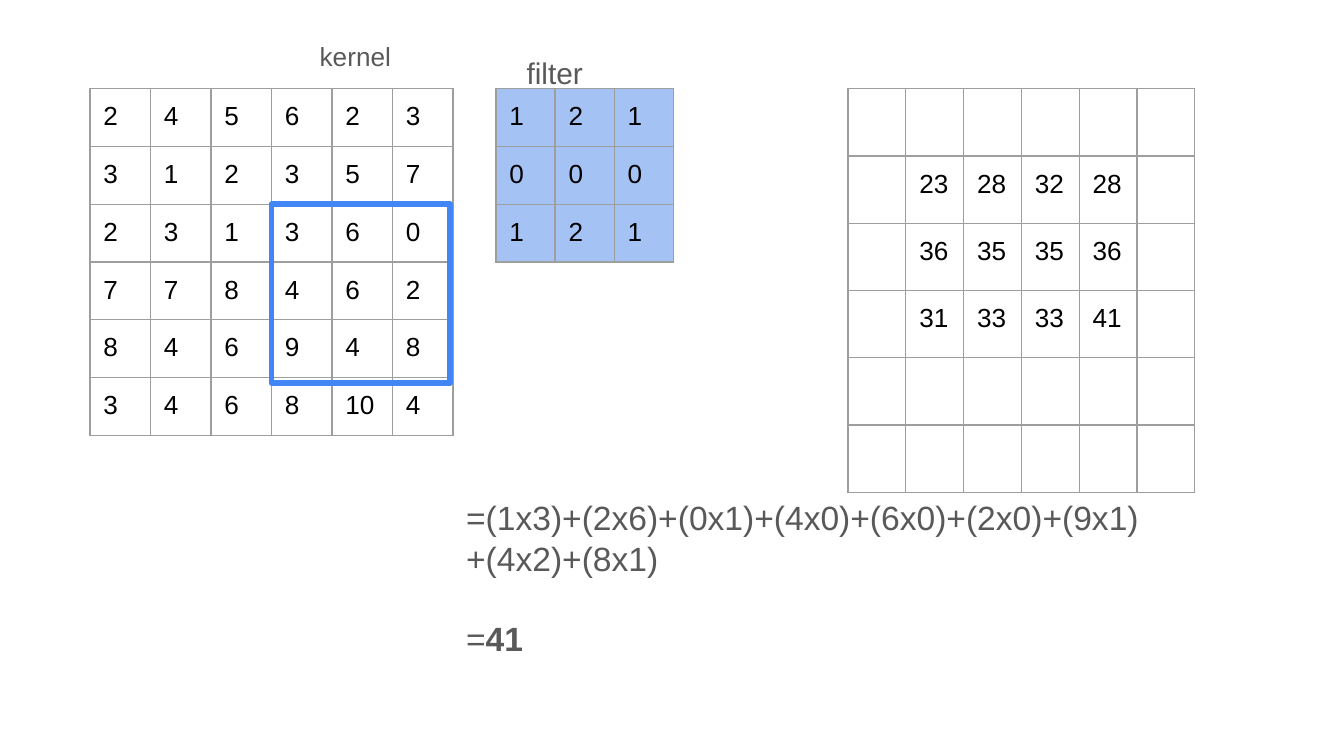
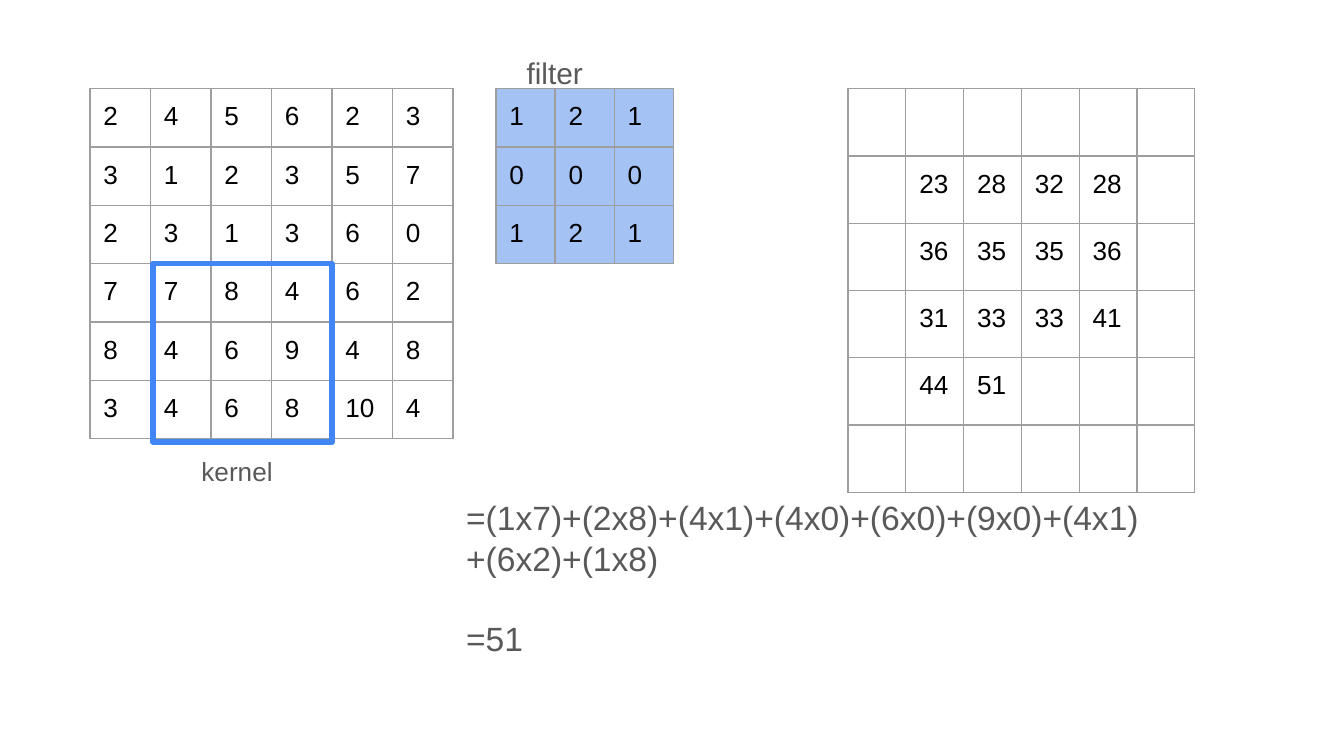
from dataclasses import dataclass
from typing import Optional

from lxml.etree import SubElement
from pptx import Presentation
from pptx.dml.color import RGBColor
from pptx.enum.shapes import MSO_SHAPE
from pptx.enum.text import MSO_AUTO_SIZE
from pptx.oxml.ns import qn
from pptx.util import Inches, Pt

SLIDE_WIDTH = Inches(10)
SLIDE_HEIGHT = SLIDE_WIDTH * 9 // 16
BLACK = RGBColor(0x00, 0x00, 0x00)
GRAY = RGBColor(0x59, 0x59, 0x59)
BORDER = RGBColor(0x9E, 0x9E, 0x9E)
BLUE = RGBColor(0x42, 0x85, 0xF4)
LIGHT_BLUE = RGBColor(0xA4, 0xC2, 0xF4)
FONT = "Arial"
INSET = Inches(0.1)
MARGINS = {f"margin_{side}": INSET for side in ("left", "right", "top", "bottom")}
KERNEL_SIZE = 1.33


@dataclass
class Grid:
    left: float
    col_width: float
    row_height: float
    rows: list[list[str]]
    fill: Optional[RGBColor] = None
    top: float = 0.66


@dataclass
class Label:
    paragraphs: list[list[tuple[str, bool]]]  # runs of (text, bold)
    left: float
    top: float
    width: float
    height: float
    size: int


@dataclass
class Step:
    kernel_left: float
    kernel_top: float
    label_top: float
    results: list[str]
    formula: str
    total: list[tuple[str, bool]]
    formula_height: float


def split_rows(lines: list[str]) -> list[list[str]]:
    return [line.split() for line in lines]


SOURCE = Grid(0.67, 0.45, 0.43, split_rows([
    "2 4 5 6 2 3",
    "3 1 2 3 5 7",
    "2 3 1 3 6 0",
    "7 7 8 4 6 2",
    "8 4 6 9 4 8",
    "3 4 6 8 10 4",
]))
FILTER = Grid(3.69, 0.44, 0.43, split_rows(["1 2 1", "0 0 0", "1 2 1"]), LIGHT_BLUE)
FILTER_LABEL = Label([[("filter", False)]], 3.82, 0.31, 6.18, 0.47, 16)
RESULTS = ["23 28 32 28", "36 35 35 36", "31 33 33 41"]

STEPS = [
    Step(2.02, 1.52, 0.2, RESULTS,
         "=(1x3)+(2x6)+(0x1)+(4x0)+(6x0)+(2x0)+(9x1)+(4x2)+(8x1)",
         [("=", False), ("41", True)], 1.72),
    Step(1.14, 1.96, 3.29, RESULTS + ["44 51"],
         "=(1x7)+(2x8)+(4x1)+(4x0)+(6x0)+(9x0)+(4x1)+(6x2)+(1x8)",
         [("=51", False)], 1.41),
]


def set_attrs(obj, values: dict) -> None:
    for name, value in values.items():
        setattr(obj, name, value)


def style_font(font, size: int, color: RGBColor, bold: bool = False) -> None:
    set_attrs(font, {"name": FONT, "size": Pt(size), "bold": bold})
    font.color.rgb = color


def add_borders(cell) -> None:
    tcPr = cell._tc.get_or_add_tcPr()
    for i, side in enumerate(("lnL", "lnR", "lnT", "lnB")):
        ln = tcPr.makeelement(qn(f"a:{side}"), {"w": str(Pt(0.75))})
        fill = SubElement(ln, qn("a:solidFill"))
        SubElement(fill, qn("a:srgbClr"), val=str(BORDER))
        tcPr.insert(i, ln)  # borders come before the fill


def add_grid(s, grid: Grid) -> None:
    n_rows, n_cols = len(grid.rows), len(grid.rows[0])
    table = s.shapes.add_table(
        n_rows, n_cols, Inches(grid.left), Inches(grid.top),
        Inches(n_cols * grid.col_width), Inches(n_rows * grid.row_height)).table
    set_attrs(table, {"first_row": False, "horz_banding": False})
    for col in table.columns:
        col.width = Inches(grid.col_width)
    for row, values in zip(table.rows, grid.rows):
        row.height = Inches(grid.row_height)
        for cell, value in zip(row.cells, values):
            set_attrs(cell, MARGINS)
            if grid.fill is None:
                cell.fill.background()
            else:
                cell.fill.solid()
                cell.fill.fore_color.rgb = grid.fill
            add_borders(cell)
            if value:
                r = cell.text_frame.paragraphs[0].add_run()
                r.text = value
                style_font(r.font, 14, BLACK)


def add_label(s, label: Label) -> None:
    tf = s.shapes.add_textbox(Inches(label.left), Inches(label.top),
                              Inches(label.width), Inches(label.height)).text_frame
    set_attrs(tf, MARGINS | {"word_wrap": True, "auto_size": MSO_AUTO_SIZE.SHAPE_TO_FIT_TEXT})
    for i, runs in enumerate(label.paragraphs):
        p = tf.add_paragraph() if i else tf.paragraphs[0]
        if i:
            p.space_before = Pt(1.2 * label.size)  # one line of space
        for text, bold in runs:
            r = p.add_run()
            r.text = text
            style_font(r.font, label.size, GRAY, bold)


def add_kernel(s, step: Step) -> None:
    sp = s.shapes.add_shape(MSO_SHAPE.RECTANGLE, Inches(step.kernel_left),
                            Inches(step.kernel_top), Inches(KERNEL_SIZE), Inches(KERNEL_SIZE))
    sp.shadow.inherit = False
    sp.fill.background()
    sp.line.color.rgb = BLUE
    sp.line.width = Pt(3)
    SubElement(sp.line._get_or_add_ln(), qn("a:round"))


def result_grid(results: list[str]) -> Grid:
    """Place the results inside an empty border of cells."""
    size = len(SOURCE.rows)
    rows = [[""] * size for _ in range(size)]
    for row, values in zip(rows[1:], split_rows(results)):
        row[1:1 + len(values)] = values
    return Grid(6.31, 0.43, 0.5, rows)


def add_step(prs, step: Step) -> None:
    s = prs.slides.add_slide(prs.slide_layouts[6])
    # Input, kernel window and filter
    add_grid(s, SOURCE)
    add_kernel(s, step)
    add_grid(s, FILTER)
    add_label(s, Label([[("kernel", False)]], step.kernel_left + 0.26,
                       step.label_top, 0.81, 0.44, 14))
    add_label(s, FILTER_LABEL)
    # Output and calculation
    add_grid(s, result_grid(step.results))
    add_label(s, Label([[(step.formula, False)], step.total],
                       3.37, 3.6, 5.24, step.formula_height, 18))


def main() -> None:
    prs = Presentation()
    set_attrs(prs, {"slide_width": SLIDE_WIDTH, "slide_height": SLIDE_HEIGHT})
    for step in STEPS:
        add_step(prs, step)
    prs.save("out.pptx")


if __name__ == "__main__":
    main()
